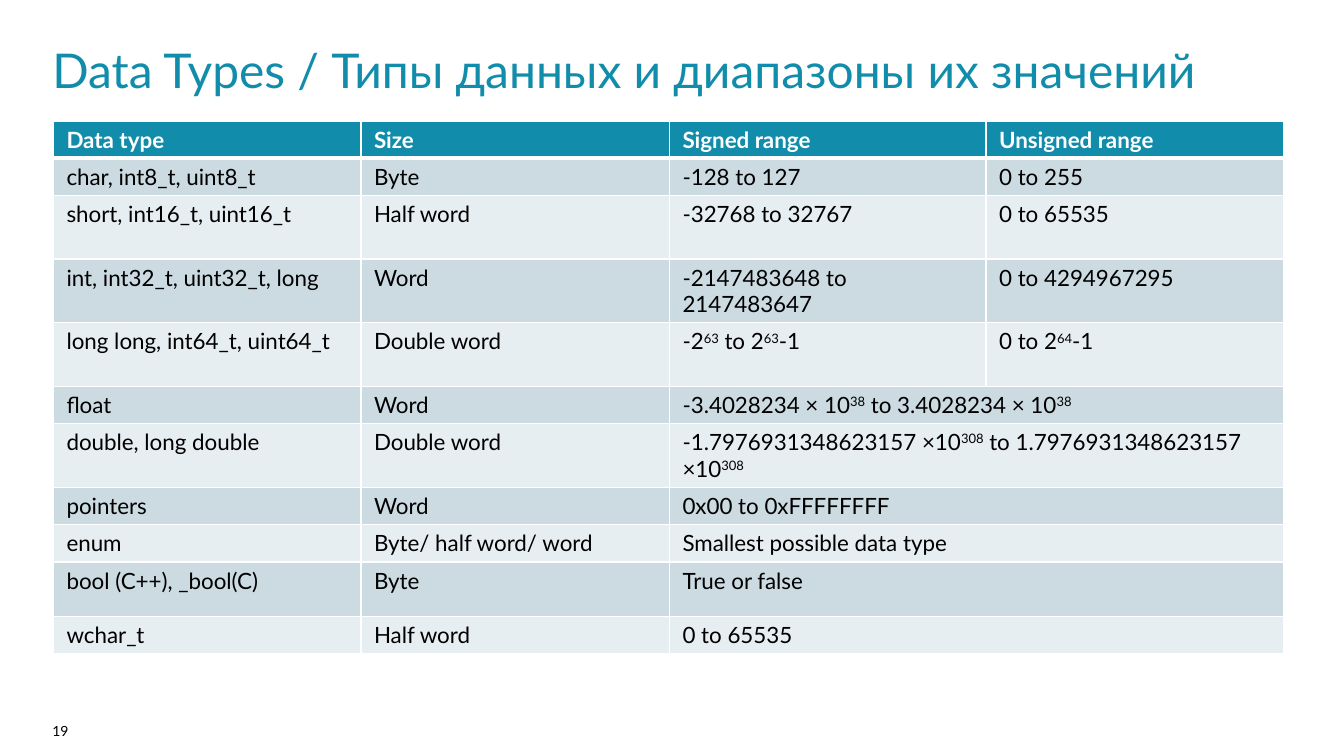
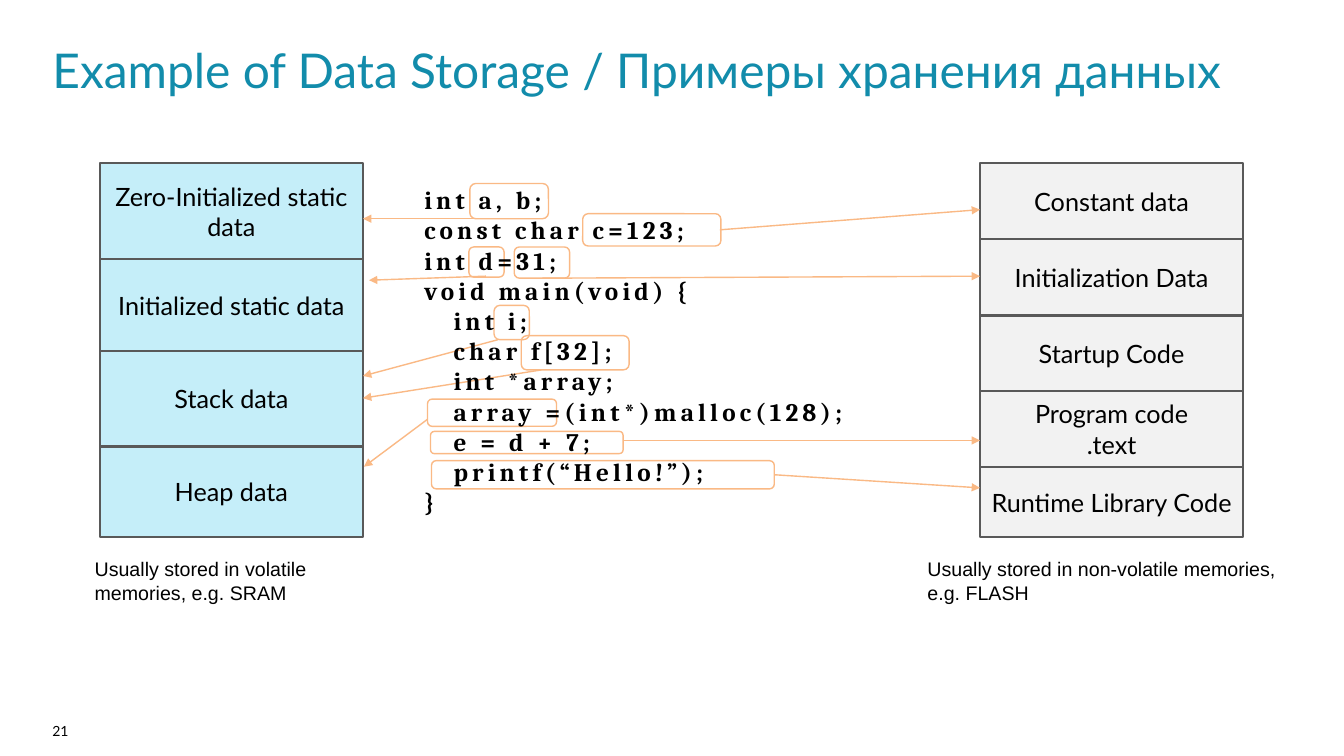
import pptx
import pptx.util
import pptx.dml.color
import pptx.enum.shapes
import pptx.enum.text
import pptx.oxml
import pptx.oxml.ns
import lxml.etree

Inches, Pt = pptx.util.Inches, pptx.util.Pt
RGBColor = pptx.dml.color.RGBColor
MSO_SHAPE = pptx.enum.shapes.MSO_SHAPE
ALIGN, ANCHOR = pptx.enum.text.PP_ALIGN, pptx.enum.text.MSO_ANCHOR

TEAL = RGBColor(0x12, 0x8C, 0xAB)
BLACK = RGBColor(0x00, 0x00, 0x00)
WHITE = RGBColor(0xFF, 0xFF, 0xFF)
ROW_DARK = RGBColor(0xCC, 0xDA, 0xE2)
ROW_LIGHT = RGBColor(0xE7, 0xEE, 0xF1)
SKY = RGBColor(0xC5, 0xEE, 0xF9)
PALE_GREY = RGBColor(0xF2, 0xF2, 0xF2)
OUTLINE = RGBColor(0x59, 0x59, 0x59)
ORANGE = RGBColor(0xFA, 0xB9, 0x85)

# Text between carets is superscript.
TYPES_TITLE = "Data Types / Типы данных и диапазоны их значений"
TYPES_ROWS = [
    (0.37, ("Data type", "Size", "Signed range", "Unsigned range")),
    (0.37, ("char, int8_t, uint8_t", "Byte", "-128 to 127", "0 to 255")),
    (0.63, ("short, int16_t, uint16_t", "Half word", "-32768 to 32767", "0 to 65535")),
    (0.63, ("int, int32_t, uint32_t, long", "Word", "-2147483648 to 2147483647",
            "0 to 4294967295")),
    (0.63, ("long long, int64_t, uint64_t", "Double word", "-2^63^ to 2^63^-1",
            "0 to 2^64^-1")),
    (0.37, ("float", "Word", "-3.4028234 × 10^38^ to 3.4028234 × 10^38^")),
    (0.63, ("double, long double", "Double word",
            "-1.7976931348623157 ×10^308^ to 1.7976931348623157 ×10^308^")),
    (0.37, ("pointers", "Word", "0x00 to 0xFFFFFFFF")),
    (0.37, ("enum", "Byte/ half word/ word", "Smallest possible data type")),
    (0.54, ("bool (C++), _bool(C)", "Byte", "True or false")),
    (0.37, ("wchar_t", "Half word", "0 to 65535")),
]
TYPES_WIDTHS = [3.05, 3.06, 3.14, 2.95]

STORAGE_TITLE = "Example of Data Storage / Примеры хранения данных"
# Each stack: left, fill, top edges plus the bottom edge, labels.
STACKS = [
    (0.99, SKY, (1.62, 2.57, 3.48, 4.43, 5.33),
     ("Zero-Initialized static data", "Initialized static data", "Stack data", "Heap data")),
    (9.72, PALE_GREY, (1.62, 2.37, 3.13, 3.88, 4.63, 5.33),
     ("Constant data", "Initialization Data", "Startup Code", "Program code\n.text",
      "Runtime Library Code")),
]
STACK_WIDTH = 2.61
CAPTIONS = [
    ((0.84, 5.48, 3.23, 0.57), "Usually stored in volatile memories, e.g. SRAM"),
    ((9.1, 5.48, 3.7, 0.57), "Usually stored in non-volatile memories, e.g. FLASH"),
]
CODE_BOX = (4.11, 1.78, 4.8, 3.43)
CODE_INDENT = 0.29
CODE = [
    (0, "int a, b;"), (0, "const char c=123;"), (0, "int d=31;"),
    (0, "void main(void) {"), (1, "int i;"), (1, "char f[32];"), (1, "int *array;"),
    (1, "array =(int*)malloc(128);"), (1, "e = d + 7;"), (1, "printf(“Hello!”);"),
    (0, "}"),
]
# Each mark: its frame in the code, then the arrow's start and end.
MARKS = [
    ((4.66, 1.82, 0.78, 0.35), (5.05, 2.17), (3.6, 2.17)),
    ((5.78, 2.12, 1.37, 0.32), (7.14, 2.28), (9.72, 2.08)),
    ((4.65, 2.45, 0.35, 0.3), (4.82, 2.74), (3.66, 2.78)),
    ((5.1, 2.45, 0.55, 0.31), (5.38, 2.76), (9.72, 2.74)),
    ((4.9, 3.03, 0.35, 0.34), (4.94, 3.37), (3.6, 3.73)),
    ((5.17, 3.33, 1.07, 0.34), (5.37, 3.67), (3.6, 3.95)),
    ((4.24, 3.96, 1.28, 0.27), (4.24, 4.16), (3.61, 4.63)),
    ((4.27, 4.28, 1.91, 0.22), (6.18, 4.37), (9.72, 4.37)),
    ((4.28, 4.57, 3.4, 0.28), (7.68, 4.71), (9.72, 4.84)),
]


def write_text(frame, text, size=18, font="Lato", color=BLACK, bold=False, align=ALIGN.LEFT,
               anchor=ANCHOR.TOP, margins=(0.1, 0.05, 0.1, 0.05), spacing=0, indents=()):
    """Fill a text frame, one paragraph per line, with one format."""
    frame.word_wrap = True
    frame.vertical_anchor = anchor
    (frame.margin_left, frame.margin_top,
     frame.margin_right, frame.margin_bottom) = map(Inches, margins)
    for index, line in enumerate(text.split("\n")):
        paragraph = frame.paragraphs[0] if index == 0 else frame.add_paragraph()
        paragraph.alignment = align
        if indents:
            properties = paragraph._p.get_or_add_pPr()
            properties.set("marL", str(Inches(indents[index])))
            properties.set("indent", "0")
        for part_index, part in enumerate(line.split("^")):
            if not part:
                continue
            run = paragraph.add_run()
            run.text = part
            run.font.size, run.font.name, run.font.bold = Pt(size), font, bold
            run.font.color.rgb = color
            if spacing:
                run._r.get_or_add_rPr().set("spc", str(spacing * 100))
            if part_index % 2:
                run._r.get_or_add_rPr().set("baseline", "30000")


def add_text(slide, box, text, **text_format):
    """Add a text box."""
    shape = slide.shapes.add_textbox(*map(Inches, box))
    write_text(shape.text_frame, text, **text_format)


def add_box(slide, kind, box, line, width, fill=None):
    """Add an outlined preset shape, filled or hollow."""
    shape = slide.shapes.add_shape(kind, *map(Inches, box))
    shape.shadow.inherit = False
    shape.line.color.rgb, shape.line.width = line, Pt(width)
    if fill is None:
        shape.fill.background()
    else:
        shape.fill.solid()
        shape.fill.fore_color.rgb = fill
    return shape


def add_arrow(slide, start, end):
    """Add a thin arrow that points at its end."""
    connector = slide.shapes.add_connector(
        pptx.enum.shapes.MSO_CONNECTOR.STRAIGHT, *map(Inches, start + end))
    connector.line.color.rgb, connector.line.width = ORANGE, Pt(1)
    qn = pptx.oxml.ns.qn
    lxml.etree.SubElement(connector.line._get_or_add_ln(), qn("a:tailEnd"), type="triangle")
    lxml.etree.SubElement(connector._element.spPr, qn("a:effectLst"))


def style_cell(cell, fill, bottom_width):
    """Fill a cell and give it white borders."""
    cell.fill.solid()
    cell.fill.fore_color.rgb = fill
    properties = cell._tc.get_or_add_tcPr()
    for position, (side, width) in enumerate(
            (("L", 1), ("R", 1), ("T", 1), ("B", bottom_width))):
        border = pptx.oxml.parse_xml(
            f'<a:ln{side} {pptx.oxml.ns.nsdecls("a")} w="{Pt(width)}"><a:solidFill>'
            f'<a:srgbClr val="{WHITE}"/></a:solidFill></a:ln{side}>')
        properties.insert(position, border)


def add_types_table(slide):
    """Add the banded table of data types; short rows merge their last cells."""
    heights = [height for height, _ in TYPES_ROWS]
    table = slide.shapes.add_table(
        len(heights), len(TYPES_WIDTHS), Inches(0.53), Inches(1.2),
        Inches(sum(TYPES_WIDTHS)), Inches(sum(heights))).table
    for column, width in zip(table.columns, TYPES_WIDTHS):
        column.width = Inches(width)
    for row_index, (height, texts) in enumerate(TYPES_ROWS):
        table.rows[row_index].height = Inches(height)
        header = row_index == 0
        fill = TEAL if header else ROW_DARK if row_index % 2 else ROW_LIGHT
        for column_index in range(len(TYPES_WIDTHS)):
            style_cell(table.cell(row_index, column_index), fill, 3 if header else 1)
        if len(texts) < len(TYPES_WIDTHS):
            table.cell(row_index, 2).merge(table.cell(row_index, 3))
        for column_index, text in enumerate(texts):
            cell = table.cell(row_index, column_index)
            write_text(cell.text_frame, text, size=16, bold=header,
                       color=WHITE if header else BLACK)
            cell.margin_left = cell.margin_right = Inches(0.13)
            cell.margin_top = cell.margin_bottom = Inches(0.05)
            cell.vertical_anchor = ANCHOR.TOP


def add_storage_diagram(slide):
    """Add the memory stacks, the code and the arrows between them."""
    for left, fill, edges, labels in STACKS:
        for top, bottom, label in zip(edges, edges[1:], labels):
            shape = add_box(slide, MSO_SHAPE.RECTANGLE, (left, top, STACK_WIDTH, bottom - top),
                            OUTLINE, 1.5, fill)
            write_text(shape.text_frame, label, align=ALIGN.CENTER, anchor=ANCHOR.MIDDLE)
    for box, caption in CAPTIONS:
        add_text(slide, box, caption, size=14, font="Arial")
    for box, start, end in MARKS:
        add_box(slide, MSO_SHAPE.ROUNDED_RECTANGLE, box, ORANGE, 1)
        add_arrow(slide, start, end)
    add_text(slide, CODE_BOX, "\n".join(line for _, line in CODE), font="Cambria", bold=True,
             spacing=3, indents=[level * CODE_INDENT for level, _ in CODE])


def add_slide(presentation, title, number):
    """Add a blank slide with the shared title and page number."""
    slide = presentation.slides.add_slide(presentation.slide_layouts[6])
    add_text(slide, (0.52, 7.17, 1.42, 0.26), number, size=10, margins=(0, 0, 0.1, 0))
    add_text(slide, (0.52, 0.37, 12.2, 0.63), title, size=34.2, color=TEAL,
             anchor=ANCHOR.MIDDLE, margins=(0, 0, 0, 0))
    return slide


presentation = pptx.Presentation()
presentation.slide_width, presentation.slide_height = Inches(13.33), Inches(7.5)
add_types_table(add_slide(presentation, TYPES_TITLE, "19"))
add_storage_diagram(add_slide(presentation, STORAGE_TITLE, "21"))
presentation.save("out.pptx")
